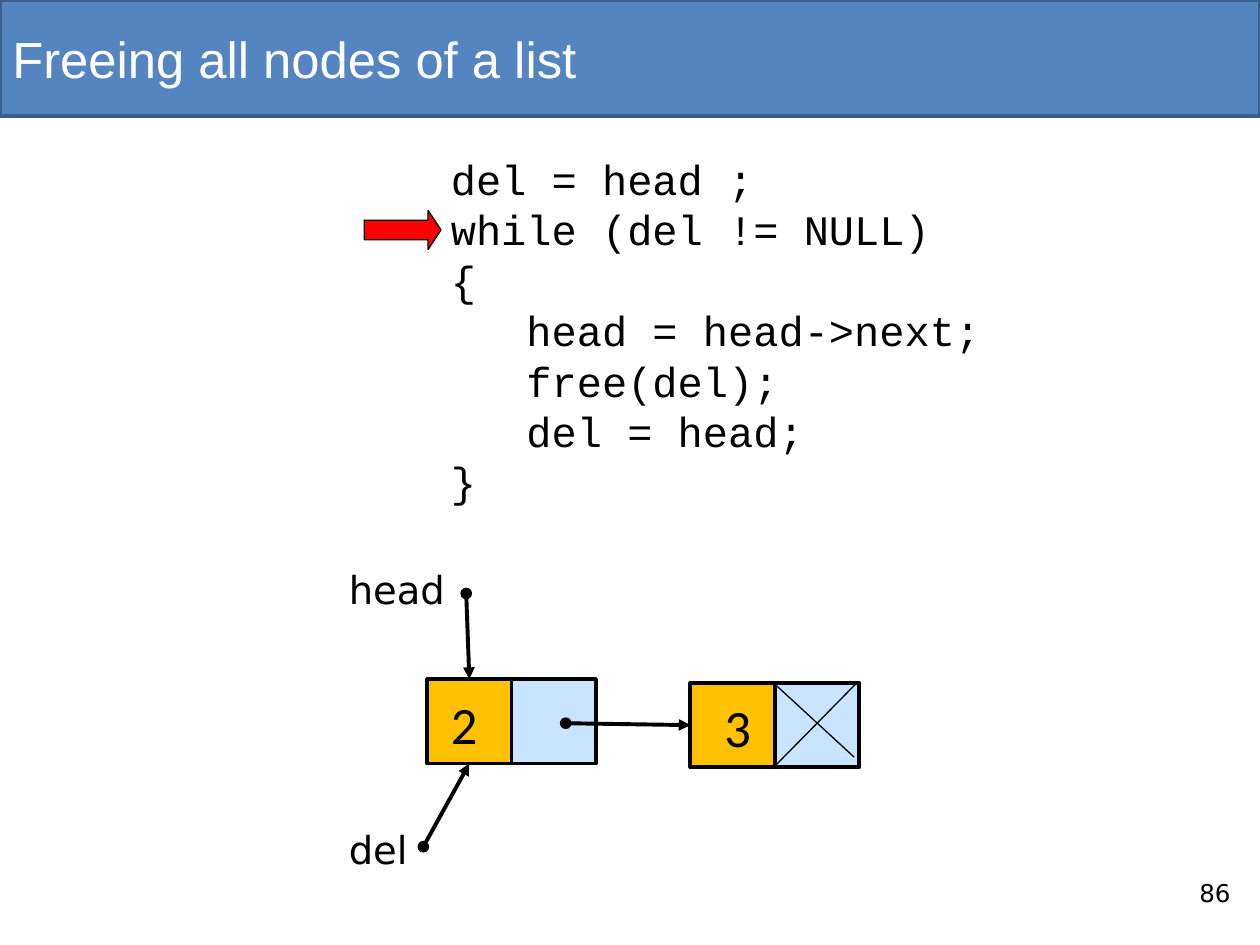
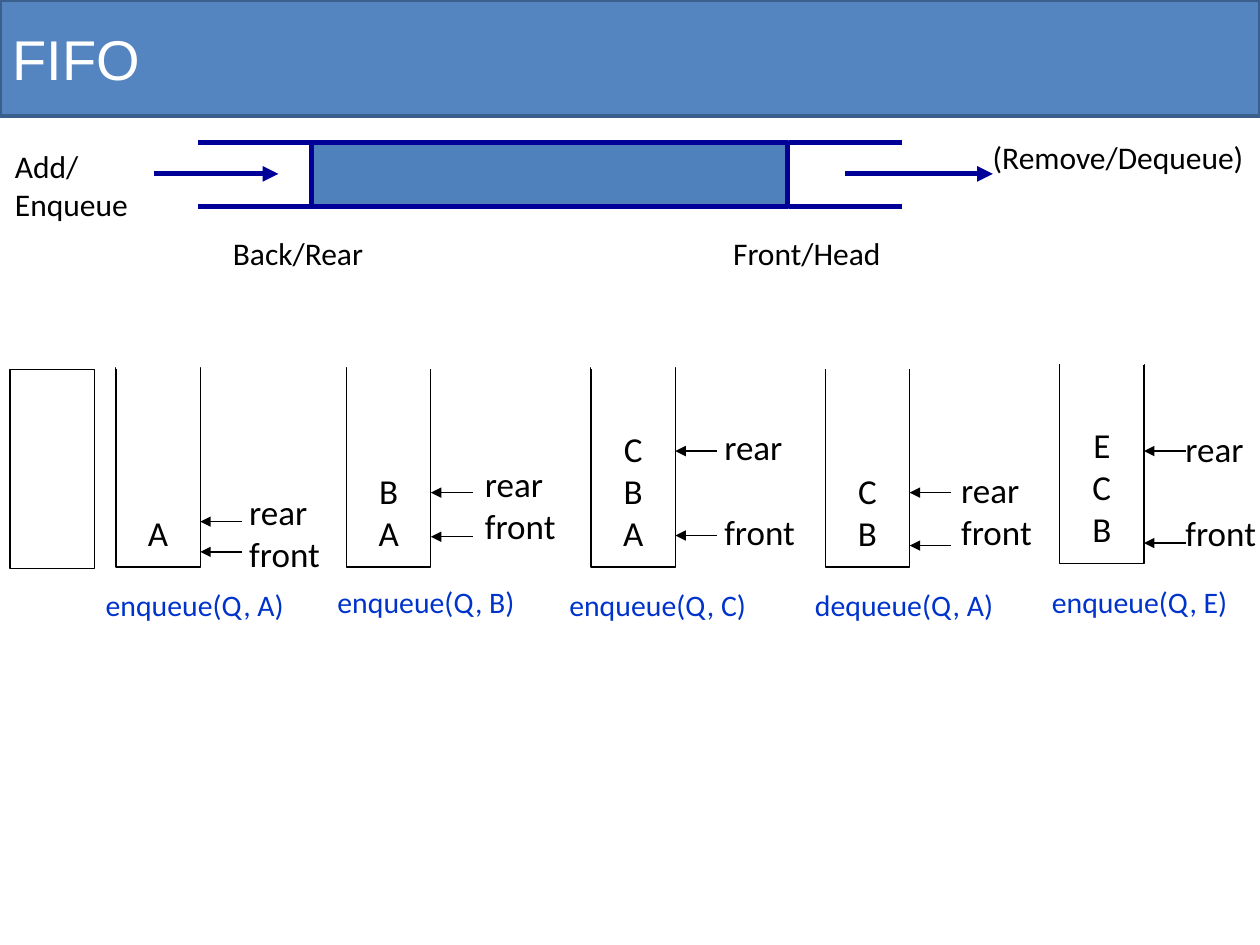
"""Build two lecture slides: freeing a linked list, and a first-in first-out queue."""
from lxml import etree
from pptx import Presentation
from pptx import util as u
from pptx.dml.color import RGBColor
from pptx.enum import shapes as kinds, text as modes
from pptx.oxml.ns import qn

BLACK, WHITE, RED = "000000", "FFFFFF", "FF0000"
BAND, BAND_EDGE = "5485C0", "3A5F8C"
DATA, POINTER = "FFC000", "C9E4FF"
PIPE, PIPE_EDGE, CALL = "4F81BD", "000099", "0033CC"
CELL, QUEUE_HEIGHT = 0.67, 1.58
QUEUE_SIZE = 20
BLANK_LINE = 24.4
CODE = (
    "del = head ;",
    "while (del != NULL)",
    "{",
    "   head = head->next;",
    "   free(del);",
    "   del = head;",
    "}",
)


def colour(value):
    """Turn a hex string into a colour."""
    return RGBColor.from_string(value)


def write(frame, lines, size, font="Calibri", ink=BLACK, align=modes.PP_ALIGN.LEFT, gap=0):
    """Write one paragraph per line, with a gap in points between paragraphs."""
    frame.word_wrap = True
    for number, line in enumerate(lines):
        paragraph = frame.add_paragraph() if number else frame.paragraphs[0]
        paragraph.alignment = align
        if number and gap:
            paragraph.space_before = u.Pt(gap)
        run = paragraph.add_run()
        run.text = line
        run.font.size = u.Pt(size)
        run.font.name = font
        run.font.color.rgb = colour(ink)


def add_label(slide, left, top, width, height, lines, size, **style):
    """Add a text box and return its text frame."""
    box = slide.shapes.add_textbox(*map(u.Inches, (left, top, width, height)))
    write(box.text_frame, lines, size, **style)
    return box.text_frame


def add_block(shapes, left, top, width, height, fill, edge=BLACK, weight=0.75,
              kind=kinds.MSO_SHAPE.RECTANGLE):
    """Add a filled and outlined preset shape."""
    shape = shapes.add_shape(kind, *map(u.Inches, (left, top, width, height)))
    shape.shadow.inherit = False
    shape.fill.solid()
    shape.fill.fore_color.rgb = colour(fill)
    shape.line.color.rgb = colour(edge)
    shape.line.width = u.Pt(weight)
    return shape


def add_line(slide, start, end, ink=BLACK, weight=0.75, head=None, tail=None):
    """Add a straight line with optional end marks."""
    line = slide.shapes.add_connector(
        kinds.MSO_CONNECTOR.STRAIGHT, *map(u.Inches, (*start, *end)))
    line.line.color.rgb = colour(ink)
    line.line.width = u.Pt(weight)
    properties = line._element.spPr
    outline = properties.find(qn("a:ln"))
    for tag, mark in (("a:headEnd", head), ("a:tailEnd", tail)):
        if mark:
            etree.SubElement(outline, qn(tag), type=mark)
    etree.SubElement(properties, qn("a:effectLst"))
    return line


def add_titled_slide(presentation, title, size):
    """Add a blank slide with the title band."""
    slide = presentation.slides.add_slide(presentation.slide_layouts[6])
    band = add_block(slide.shapes, 0, 0, 10, 0.92, BAND, BAND_EDGE, 2)
    band.text_frame.vertical_anchor = modes.MSO_ANCHOR.MIDDLE
    write(band.text_frame, [title], size, "Arial", WHITE)
    return slide


def add_node(slide, left, top, value, value_left):
    """Add a list node and return its data cell."""
    group = slide.shapes.add_group_shape()
    add_block(group.shapes, left + CELL, top, CELL, CELL, POINTER, weight=2.25)
    data = add_block(group.shapes, left, top, CELL, CELL, DATA, weight=2.25)
    add_label(slide, value_left, top + 0.05, 0.6, 0.61, [value], 30)
    return data


def add_pointer(slide, start, end, cell, side):
    """Add a pointer arrow joined to one side of a node cell."""
    arrow = add_line(slide, start, end, weight=2.25, head="oval", tail="triangle")
    arrow.end_connect(cell, side)


def add_queue(slide, left, top, items, arrow_tops, tag_at, tag_gap, call, call_at):
    """Add an open-topped queue with its rear and front tags and its call."""
    right = left + CELL
    queue = add_block(slide.shapes, left, top, CELL, QUEUE_HEIGHT, WHITE)
    frame = queue.text_frame
    frame.vertical_anchor = modes.MSO_ANCHOR.BOTTOM
    frame.margin_bottom = u.Inches(0.11)
    write(frame, items, QUEUE_SIZE, align=modes.PP_ALIGN.CENTER)
    add_line(slide, (left, top), (right, top), WHITE)
    for y in arrow_tops:
        add_line(slide, (right + 0.33, y), (right, y), tail="triangle")
    tags = add_label(slide, *tag_at, 0.77, 0.77 + tag_gap / 72, ["rear", "front"],
                     QUEUE_SIZE, gap=tag_gap)
    tags.margin_right = 0
    add_label(slide, *call_at, 1.63, 0.39, [call], 17, ink=CALL)


def build_list_slide(presentation):
    """Show the loop that frees a list and the nodes it walks."""
    slide = add_titled_slide(presentation, "Freeing all nodes of a list", 29)
    add_label(slide, 9.42, 6.92, 0.5, 0.4, ["86"], 14, font="DejaVu Sans")
    add_label(slide, 3.48, 1.17, 5, 2.93, CODE, 24, font="Courier New")
    marker = add_block(slide.shapes, 2.89, 1.67, 0.61, 0.31, RED,
                       kind=kinds.MSO_SHAPE.RIGHT_ARROW)
    marker.adjustments[1] = 0.33

    first = add_node(slide, 3.39, 5.39, "2", 3.48)
    second = add_node(slide, 5.48, 5.42, "3", 5.65)
    add_line(slide, (6.81, 5.41), (6.15, 6.08))
    add_line(slide, (6.15, 5.43), (6.78, 6.01))
    add_pointer(slide, (3.7, 4.71), (3.73, 5.39), first, 0)
    add_pointer(slide, (4.49, 5.74), (5.48, 5.75), second, 1)
    add_pointer(slide, (3.36, 6.72), (3.72, 6.06), first, 2)
    for name, top in (("head", 4.44), ("del", 6.51)):
        add_label(slide, 2.67, top, 1.08, 0.47, [name], 22, font="DejaVu Sans")


def build_queue_slide(presentation):
    """Show the queue as a pipe and the states after each call."""
    slide = add_titled_slide(presentation, "FIFO", 32)
    add_block(slide.shapes, 2.47, 1.13, 3.78, 0.51, PIPE, PIPE_EDGE, 3)
    for y in (1.13, 1.64):
        for right in (2.47, 7.16):
            add_line(slide, (right, y), (right - 0.9, y), PIPE_EDGE, 3)
    for start, end in ((1.22, 2.21), (6.71, 7.88)):
        add_line(slide, (start, 1.38), (end, 1.38), PIPE_EDGE, 3, tail="triangle")
    for left, top, width, height, lines in (
        (0.02, 1.12, 1.61, 0.71, ["Add/", "Enqueue"]),
        (7.78, 1.05, 2.22, 0.4, ["(Remove/Dequeue)"]),
        (1.75, 1.81, 1.8, 0.4, ["Back/Rear"]),
        (5.72, 1.81, 2.43, 0.4, ["Front/Head"]),
    ):
        add_label(slide, left, top, width, height, lines, 18)

    add_block(slide.shapes, 0.08, 2.93, CELL, QUEUE_HEIGHT, WHITE)
    for state in (
        (0.92, 2.92, "A", (4.14, 4.38), (1.88, 3.84), 0, "enqueue(Q, A)", (0.74, 4.61)),
        (2.75, 2.92, "BA", (3.91, 4.26), (3.75, 3.62), 0, "enqueue(Q, B)", (2.58, 4.58)),
        (4.69, 2.92, "CBA", (3.58, 4.25), (5.65, 3.33), BLANK_LINE,
         "enqueue(Q, C)", (4.42, 4.61)),
        (6.55, 2.92, "CB", (3.91, 4.33), (7.53, 3.67), 0, "dequeue(Q, A)", (6.37, 4.61)),
        (8.41, 2.89, "ECB", (3.58, 4.31), (9.31, 3.34), BLANK_LINE,
         "enqueue(Q, E)", (8.25, 4.58)),
    ):
        add_queue(slide, *state)


def main():
    """Build and save the presentation."""
    presentation = Presentation()
    presentation.slide_width = u.Inches(10)
    presentation.slide_height = u.Inches(7.5)
    build_list_slide(presentation)
    build_queue_slide(presentation)
    presentation.save("out.pptx")


if __name__ == "__main__":
    main()
